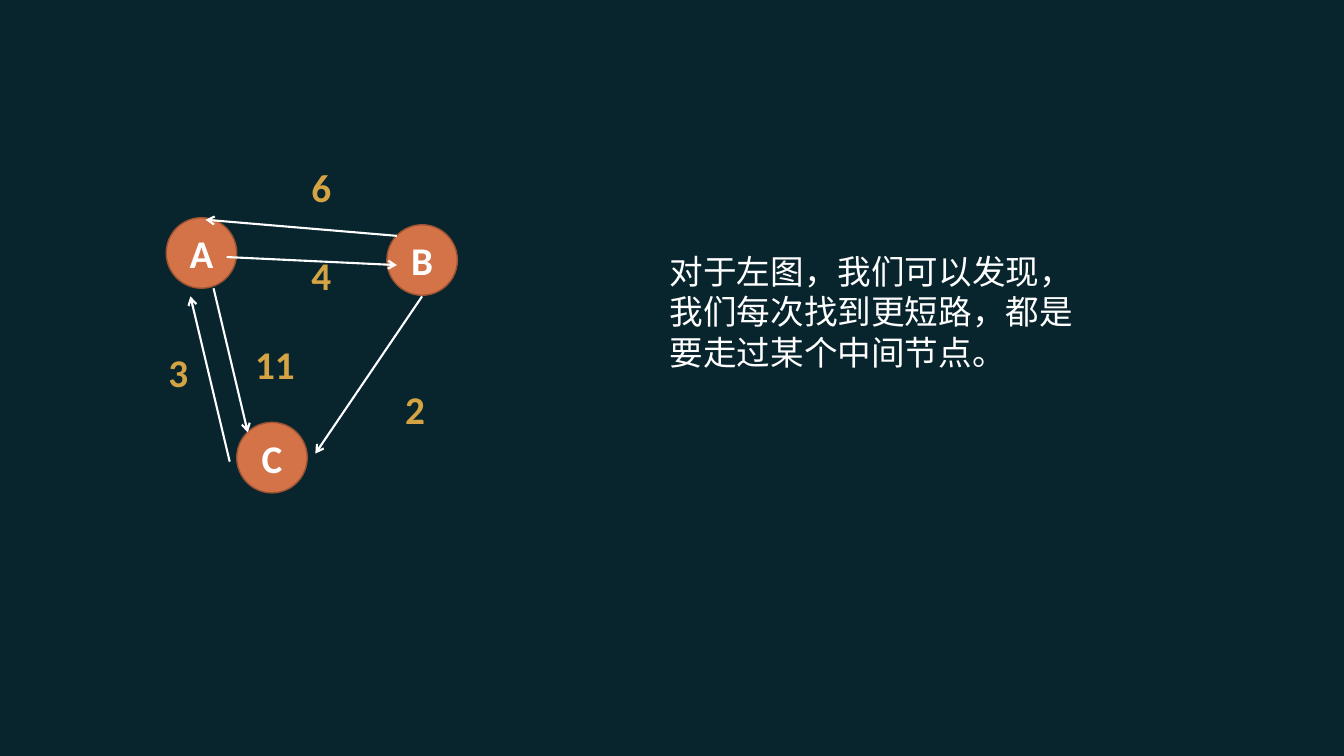
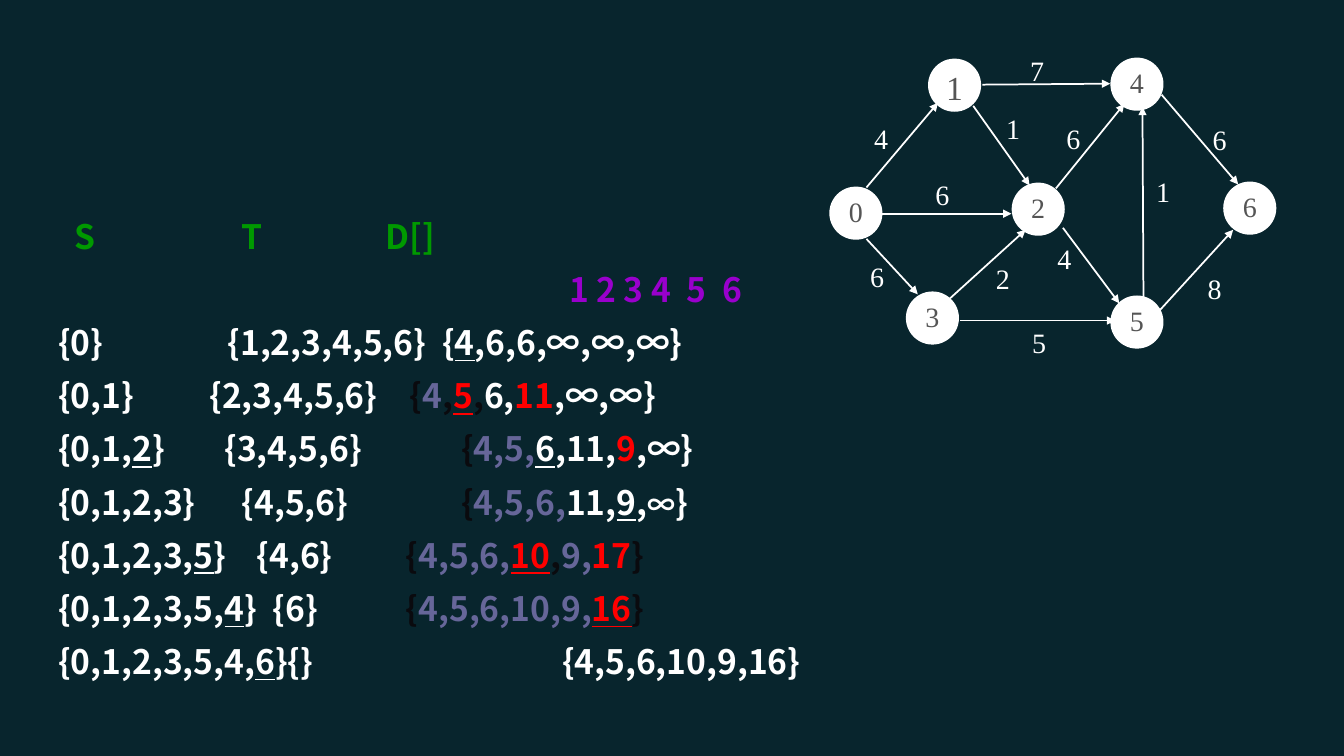
import dataclasses
import typing

import lxml.etree
import pptx
import pptx.dml.color
import pptx.enum.shapes
import pptx.enum.text
import pptx.oxml.ns
import pptx.util

EMU_PER_PX = 9144  # 100 px to the inch
COLOURS = {
    "background": "08252D", "white": "FFFFFF", "orange": "D47348",
    "rust": "9B5332", "gold": "D4A444", "grey": "555555", "green": "009900",
    "purple": "9900CC", "black": "0A0A0E", "settled": "666699", "red": "FF0000",
}
SANS, SERIF, CJK = "Calibri", "Times New Roman", "Noto Sans CJK SC"
ALIGN = pptx.enum.text.PP_ALIGN
ANCHOR = pptx.enum.text.MSO_ANCHOR


class Node(typing.NamedTuple):
    name: str
    left: int
    top: int
    size: int | None = None


class Edge(typing.NamedTuple):
    x1: int
    y1: int
    x2: int
    y2: int


class Label(typing.NamedTuple):
    text: str
    left: int
    top: int
    width: int | None = None


class Span(typing.NamedTuple):
    text: str
    colour: str = "white"
    underline: bool = False
    size: int = 24


class Row(typing.NamedTuple):
    stops: tuple[int, ...]
    spans: tuple[Span, ...]


@dataclasses.dataclass(frozen=True)
class GraphStyle:
    diameter: int
    fill: str
    outline: str
    outline_width: float
    node_colour: str
    label_colour: str
    font: str
    size: int
    bold: bool
    anchor: ANCHOR
    insets: tuple[int, int]
    label_size: tuple[int, int]
    edge_width: float
    arrow: str


# Slide 1: three-node graph
SMALL_STYLE = GraphStyle(
    diameter=70, fill="orange", outline="rust", outline_width=1,
    node_colour="white", label_colour="gold", font=SANS, size=28, bold=True,
    anchor=ANCHOR.MIDDLE, insets=(10, 5), label_size=(42, 57),
    edge_width=1.5, arrow="arrow")
SMALL_NODES = [Node("A", 165, 216), Node("B", 384, 223), Node("C", 235, 419)]
SMALL_EDGES = [
    Edge(225, 255, 394, 263), Edge(212, 286, 246, 429),
    Edge(419, 294, 313, 450), Edge(228, 458, 189, 294),
    Edge(394, 234, 204, 218),
]
SMALL_LABELS = [
    Label("6", 298, 157), Label("4", 298, 244), Label("2", 391, 377),
    Label("11", 241, 333, 64), Label("3", 156, 341),
]
REMARK = "对于左图，我们可以发现，我们每次找到更短路，都是要走过某个中间节点。"

# Slide 2: seven-node graph
LARGE_STYLE = GraphStyle(
    diameter=51, fill="white", outline="white", outline_width=1.25,
    node_colour="grey", label_colour="white", font=SERIF, size=20, bold=False,
    anchor=ANCHOR.TOP, insets=(0, 0), label_size=(41, 37),
    edge_width=1.25, arrow="triangle")
LARGE_NODES = [
    Node("1", 922, 59, 24), Node("4", 1103, 58), Node("0", 824, 186),
    Node("2", 1005, 182), Node("6", 1215, 181), Node("3", 900, 290),
    Node("5", 1103, 294),
]
LARGE_EDGES = [
    Edge(1151, 308, 1224, 228), Edge(860, 186, 931, 102),
    Edge(1055, 226, 1111, 301), Edge(953, 318, 1107, 318),
    Edge(1135, 301, 1134, 106), Edge(975, 84, 1102, 83),
    Edge(1153, 94, 1229, 183), Edge(860, 237, 911, 292),
    Edge(873, 212, 1004, 212), Edge(943, 296, 1018, 228),
    Edge(966, 105, 1022, 184), Edge(1048, 187, 1116, 103),
]
LARGE_LABELS = [
    Label("8", 1185, 269), Label("1", 1134, 173), Label("6", 1190, 122),
    Label("6", 1045, 121), Label("4", 1036, 240), Label("2", 975, 259),
    Label("5", 1011, 323), Label("6", 850, 257), Label("6", 915, 176),
    Label("1", 985, 111), Label("4", 854, 121), Label("7", 1009, 53),
]

# Slide 2: steps of the search, each row with its own tab stops
TRACE_ROWS = [
    Row((16, 182, 325), (Span("\tS\tT\tD[]", "green"),)),
    Row((507, 624, 659), (Span("\t1 2 3 4\t5\t6", "purple"),)),
    Row((168, 381), (
        Span("{0}\t{1,2,3,4,5,6}\t{"), Span("4", underline=True),
        Span(",6,6,∞,∞,∞}"))),
    Row((150, 349), (
        Span("{0,1}\t{2,3,4,5,6}\t"), Span("{", "black"),
        Span("4", "settled"), Span(",", "black"), Span("5", "red", True),
        Span(",", "black"), Span("6,"), Span("11", "red"), Span(",∞,∞}"))),
    Row((165, 400), (
        Span("{0,1,"), Span("2", underline=True), Span("}\t{3,4,5,6}\t"),
        Span("{", "black"), Span("4,5,", "settled"),
        Span("6", underline=True), Span(",11,"), Span("9", "red"),
        Span(",∞}"))),
    Row((182, 400), (
        Span("{0,1,2,3}\t{4,5,6}\t"), Span("{", "black"),
        Span("4,5,6,", "settled"), Span("11,"), Span("9", underline=True),
        Span(","), Span("∞", size=20), Span("}"))),
    Row((197, 345), (
        Span("{0,1,2,3,"), Span("5", underline=True), Span("}\t{4,6}\t"),
        Span("{", "black"), Span("4,5,6,", "settled"),
        Span("10", "red", True), Span(",", "black"), Span("9,", "settled"),
        Span("17", "red"), Span("}", "black"))),
    Row((213, 345), (
        Span("{0,1,2,3,5,"), Span("4", underline=True), Span("}\t{6}\t"),
        Span("{", "black"), Span("4,5,6,10,9,", "settled"),
        Span("16", "red", True), Span("}", "black"))),
    Row((500,), (
        Span("{0,1,2,3,5,4,"), Span("6", underline=True),
        Span("}{}\t{4,5,6,10,9,16}"))),
]


def px(length: int) -> pptx.util.Emu:
    return pptx.util.Emu(length * EMU_PER_PX)


def rgb(colour: str) -> pptx.dml.color.RGBColor:
    return pptx.dml.color.RGBColor.from_string(COLOURS[colour])


def add_child(parent, tag: str, **attributes: str):
    return lxml.etree.SubElement(parent, pptx.oxml.ns.qn(tag), attributes)


def add_text(paragraph, text: str, *, font: str = SANS, size: int = 24,
             colour: str = "white", bold: bool = False,
             underline: bool = False) -> None:
    run = paragraph.add_run()
    run.text = text
    run.font.name = font
    run.font.size = pptx.util.Pt(size)
    run.font.bold = bold
    run.font.underline = underline
    run.font.color.rgb = rgb(colour)
    add_child(run._r.get_or_add_rPr(), "a:ea", typeface=CJK)


def prepare_frame(shape, insets: tuple[int, int] = (10, 5),
                  anchor: ANCHOR = ANCHOR.TOP):
    frame = shape.text_frame
    frame.word_wrap = True
    frame.vertical_anchor = anchor
    frame.margin_left = frame.margin_right = px(insets[0])
    frame.margin_top = frame.margin_bottom = px(insets[1])
    return frame


def add_frame(slide, left: int, top: int, width: int, height: int,
              insets: tuple[int, int] = (10, 5)):
    box = slide.shapes.add_textbox(px(left), px(top), px(width), px(height))
    return prepare_frame(box, insets)


def draw_edge(slide, edge: Edge, style: GraphStyle) -> None:
    connector = slide.shapes.add_connector(
        pptx.enum.shapes.MSO_CONNECTOR.STRAIGHT, *map(px, edge))
    connector.line.color.rgb = rgb("white")
    connector.line.width = pptx.util.Pt(style.edge_width)
    add_child(connector.line._get_or_add_ln(), "a:tailEnd", type=style.arrow)
    add_child(connector._element.spPr, "a:effectLst")


def draw_node(slide, node: Node, style: GraphStyle) -> None:
    diameter = px(style.diameter)
    shape = slide.shapes.add_shape(
        pptx.enum.shapes.MSO_SHAPE.OVAL, px(node.left), px(node.top),
        diameter, diameter)
    shape.shadow.inherit = False
    shape.fill.solid()
    shape.fill.fore_color.rgb = rgb(style.fill)
    shape.line.color.rgb = rgb(style.outline)
    shape.line.width = pptx.util.Pt(style.outline_width)
    paragraph = prepare_frame(shape, style.insets, style.anchor).paragraphs[0]
    paragraph.alignment = ALIGN.CENTER
    add_text(paragraph, node.name, font=style.font,
             size=node.size or style.size, colour=style.node_colour,
             bold=style.bold)


def draw_label(slide, label: Label, style: GraphStyle) -> None:
    width, height = style.label_size
    frame = add_frame(slide, label.left, label.top, label.width or width,
                      height, style.insets)
    paragraph = frame.paragraphs[0]
    paragraph.alignment = ALIGN.CENTER
    add_text(paragraph, label.text, font=style.font, size=style.size,
             colour=style.label_colour, bold=style.bold)


def draw_trace(slide, rows: list[Row]) -> None:
    frame = add_frame(slide, 48, 217, 938, 497)
    for index, row in enumerate(rows):
        paragraph = frame.add_paragraph() if index else frame.paragraphs[0]
        paragraph.alignment = ALIGN.JUSTIFY
        paragraph.line_spacing = pptx.util.Pt(23)
        paragraph.space_before = pptx.util.Pt(15 if index else 0)
        tabs = add_child(paragraph._p.get_or_add_pPr(), "a:tabLst")
        for stop in row.stops:
            add_child(tabs, "a:tab", pos=str(px(stop)), algn="l")
        for span in row.spans:
            add_text(paragraph, span.text, font=CJK, size=span.size,
                     colour=span.colour, bold=True, underline=span.underline)


def build_small_graph(slide) -> None:
    for node in SMALL_NODES:
        draw_node(slide, node, SMALL_STYLE)
    for edge in SMALL_EDGES:
        draw_edge(slide, edge, SMALL_STYLE)
    for label in SMALL_LABELS:
        draw_label(slide, label, SMALL_STYLE)
    add_text(add_frame(slide, 655, 244, 438, 130).paragraphs[0], REMARK)


def build_large_graph(slide) -> None:
    draw_trace(slide, TRACE_ROWS)
    for edge in LARGE_EDGES:
        draw_edge(slide, edge, LARGE_STYLE)
    for node in LARGE_NODES:
        draw_node(slide, node, LARGE_STYLE)
    for label in LARGE_LABELS:
        draw_label(slide, label, LARGE_STYLE)


def main() -> None:
    presentation = pptx.Presentation()
    presentation.slide_width, presentation.slide_height = px(1334), px(750)
    # Shared background
    background = presentation.slide_master.background.fill
    background.solid()
    background.fore_color.rgb = rgb("background")
    blank = presentation.slide_layouts[6]
    for build in (build_small_graph, build_large_graph):
        build(presentation.slides.add_slide(blank))
    presentation.save("out.pptx")


if __name__ == "__main__":
    main()
